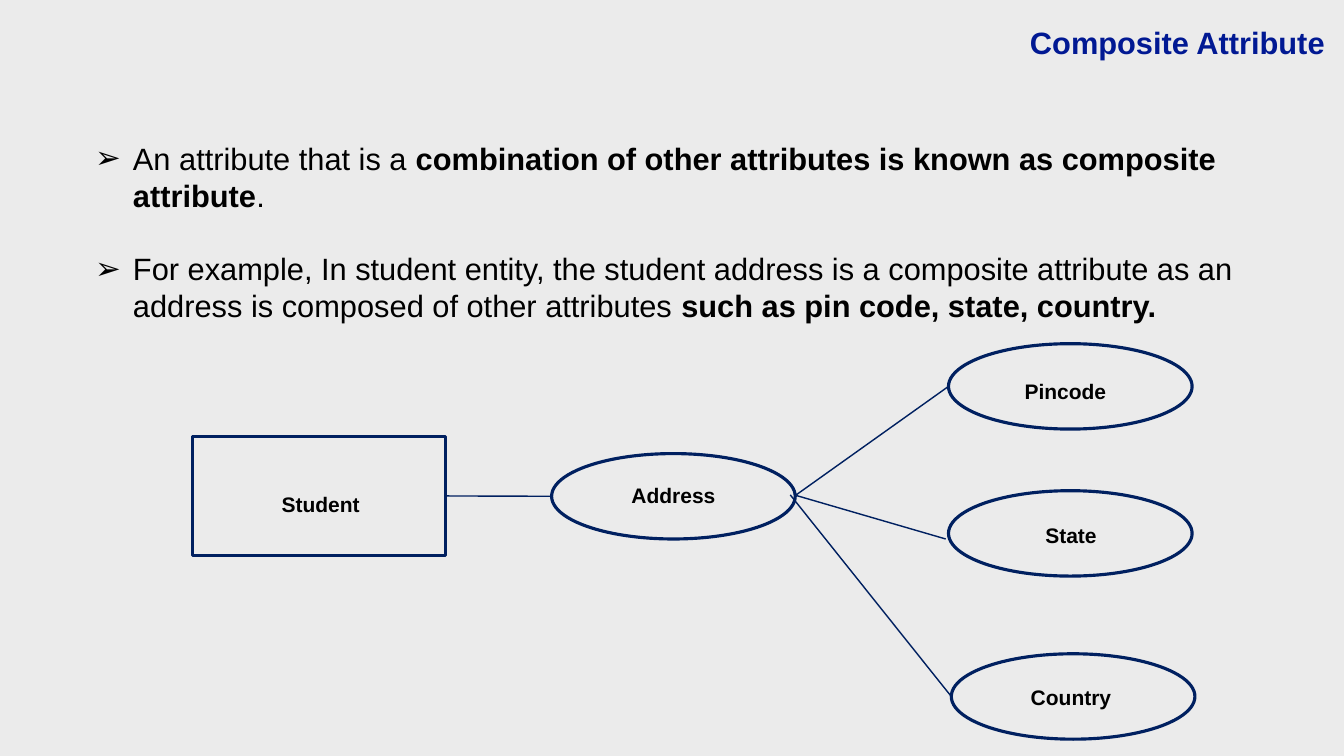
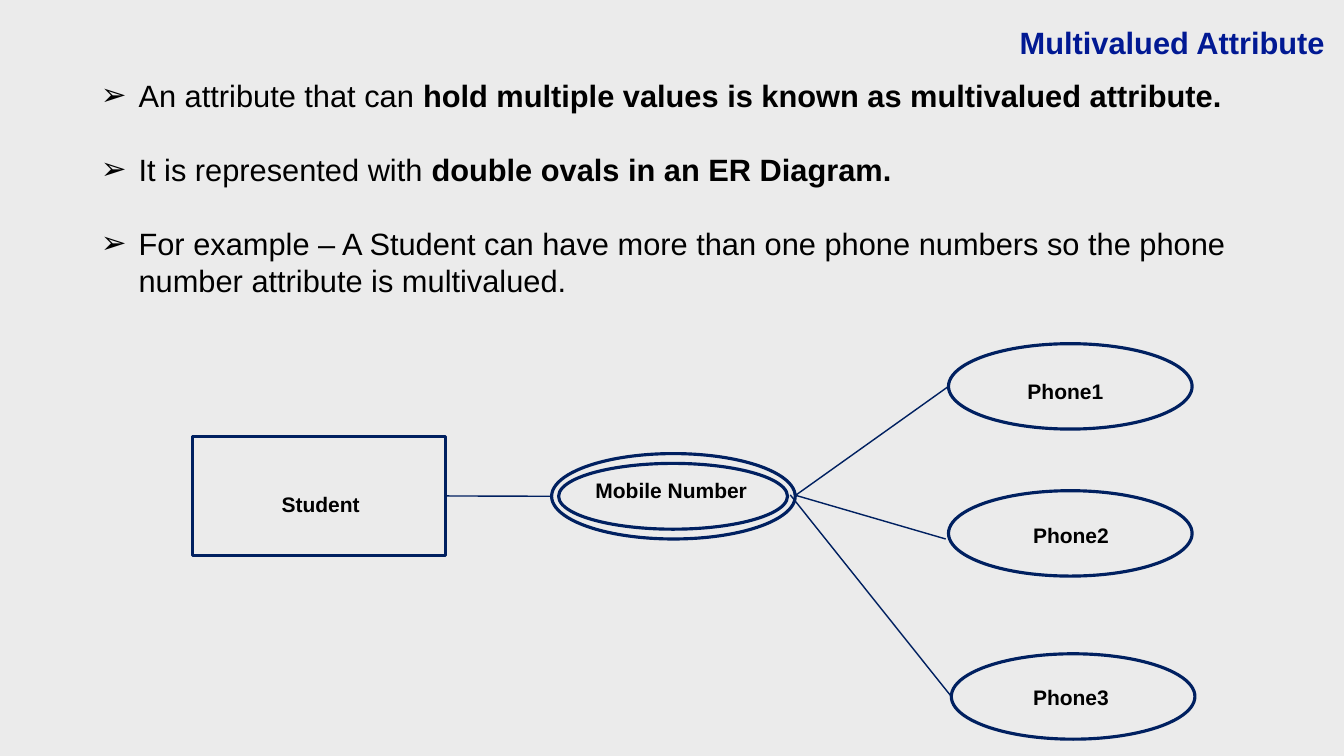
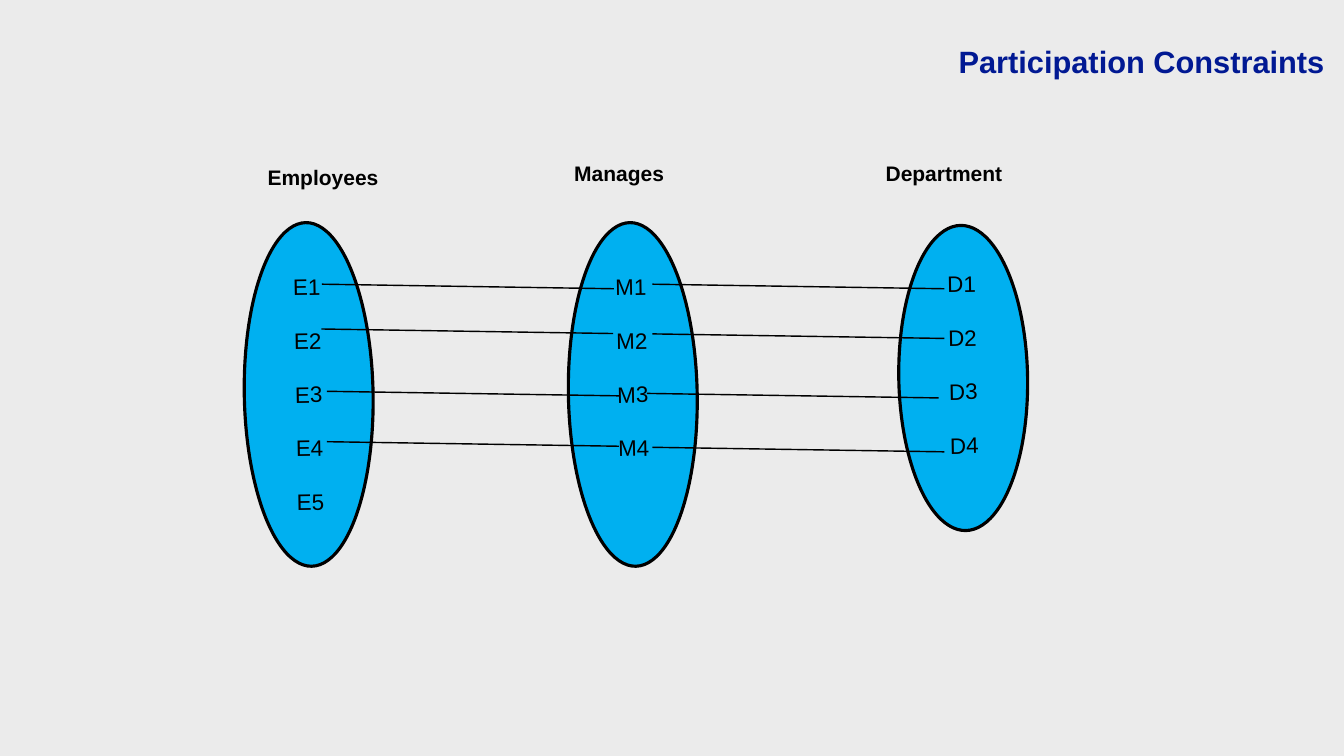
"""Build three slides on entity-relationship attributes and participation constraints."""
import dataclasses

import pptx
import pptx.dml.color
import pptx.enum.shapes
import pptx.enum.text
import pptx.oxml
import pptx.oxml.ns
import pptx.util

Pt = pptx.util.Pt
SHAPES = pptx.enum.shapes.MSO_SHAPE
ALIGN = pptx.enum.text.PP_ALIGN
ANCHOR = pptx.enum.text.MSO_ANCHOR


@dataclasses.dataclass(frozen=True)
class Theme:
    font: str = "Arial"
    background: str = "EBEBEB"
    ink: str = "000000"
    title: str = "011993"
    outline: str = "002060"
    oval: str = "00B0F0"
    heading_size: int = 44
    member_size: int = 32
    label_size: int = 30
    line_factor: float = 1.2
    inset: int = 4
    bullet_indent: int = 54
    shape_line: float = 4.5
    connector_line: int = 2


def color(value):
    return pptx.dml.color.RGBColor.from_string(value)


class Deck:
    def __init__(self, theme):
        self.theme = theme
        self.presentation = pptx.Presentation()
        self.presentation.slide_width = Pt(1920)
        self.presentation.slide_height = Pt(1080)
        fill = self.presentation.slide_master.background.fill
        fill.solid()
        fill.fore_color.rgb = color(theme.background)
        self.slide = None

    def add_slide(self):
        self.slide = self.presentation.slides.add_slide(self.presentation.slide_layouts[6])

    def frame(self, shape, anchor, inset):
        text_frame = shape.text_frame
        text_frame.word_wrap = True
        text_frame.vertical_anchor = anchor
        text_frame.margin_left = text_frame.margin_right = Pt(inset)
        text_frame.margin_top = text_frame.margin_bottom = Pt(inset)
        return text_frame

    def text_box(self, left, top, width, height, anchor=ANCHOR.MIDDLE):
        shape = self.slide.shapes.add_textbox(Pt(left), Pt(top), Pt(width), Pt(height))
        return self.frame(shape, anchor, self.theme.inset)

    def style(self, text_frame, size, align, ink=None, bold=None):
        pitch = Pt(round(size * self.theme.line_factor, 1))
        for index, paragraph in enumerate(text_frame.paragraphs):
            paragraph.alignment = align
            paragraph.line_spacing = pitch
            if index:
                paragraph.space_before = pitch
            for run in paragraph.runs:
                run.font.name = self.theme.font
                run.font.size = Pt(size)
                run.font.color.rgb = color(ink or self.theme.ink)
                if bold is not None:
                    run.font.bold = bold

    def title(self, text, top=30, height=114):
        text_frame = self.text_box(700, top, 1197, height, ANCHOR.TOP)
        text_frame.text = text
        self.style(text_frame, self.theme.heading_size, ALIGN.RIGHT, self.theme.title, True)

    def label(self, text, left, top, width=264):
        text_frame = self.text_box(left, top, width, 45)
        text_frame.text = text
        self.style(text_frame, self.theme.label_size, ALIGN.CENTER, bold=True)

    def bullets(self, items, left, top, height):
        text_frame = self.text_box(left, top, 1709, height)
        for index, item in enumerate(items):
            paragraph = text_frame.add_paragraph() if index else text_frame.paragraphs[0]
            for position, part in enumerate(item.split("*")):
                if part:
                    run = paragraph.add_run()
                    run.text = part
                    run.font.bold = position % 2 == 1
        self.style(text_frame, self.theme.heading_size, ALIGN.LEFT)
        for paragraph in text_frame.paragraphs:
            properties = paragraph._p.get_or_add_pPr()
            properties.set("marL", str(Pt(self.theme.bullet_indent)))
            properties.set("indent", str(-Pt(self.theme.bullet_indent)))
            namespace = pptx.oxml.ns.nsdecls("a")
            properties.append(pptx.oxml.parse_xml(f'<a:buFont {namespace} typeface="{self.theme.font}"/>'))
            properties.append(pptx.oxml.parse_xml(f'<a:buChar {namespace} char="➢"/>'))

    def outline(self, kind, left, top, width, height, line=None):
        shape = self.slide.shapes.add_shape(kind, Pt(left), Pt(top), Pt(width), Pt(height))
        shape.shadow.inherit = False
        shape.fill.background()
        shape.line.color.rgb = color(line or self.theme.outline)
        shape.line.width = Pt(self.theme.shape_line)
        return shape

    def attribute(self, left, top):
        return self.outline(SHAPES.OVAL, left, top, 348, 122)

    def member_set(self, members, left, top, height):
        shape = self.outline(SHAPES.OVAL, left, top, 184, height, self.theme.ink)
        shape.rotation = 359
        shape.fill.solid()
        shape.fill.fore_color.rgb = color(self.theme.oval)
        text_frame = self.frame(shape, ANCHOR.TOP, 0)
        text_frame.text = "\n".join(members)
        self.style(text_frame, self.theme.member_size, ALIGN.CENTER)

    def connector(self, start, end, line=None):
        shape = self.slide.shapes.add_connector(
            pptx.enum.shapes.MSO_CONNECTOR.STRAIGHT, *(Pt(value) for value in start + end))
        shape.line.color.rgb = color(line or self.theme.outline)
        shape.line.width = Pt(self.theme.connector_line)
        namespace = pptx.oxml.ns.nsdecls("a")
        shape._element.spPr.append(pptx.oxml.parse_xml(f"<a:effectLst {namespace}/>"))
        return shape

    def student_diagram(self, parts):
        student = self.outline(SHAPES.FLOWCHART_PROCESS, 275, 623, 362, 171)
        self.label("Student", 326, 698)
        self.attribute(788, 648)
        places = (((1355, 491), (1390, 536)), ((1355, 701), (1398, 742)), ((1359, 934), (1398, 973)))
        for part, (oval, label) in zip(parts, places):
            self.attribute(*oval)
            self.label(part, *label)
        self.connector((637, 708), (788, 709)).begin_connect(student, 3)
        for start, end in (((1136, 708), (1355, 552)), ((1129, 707), (1359, 995)),
                           ((1138, 708), (1351, 770))):
            self.connector(start, end)


def composite_slide(deck):
    deck.add_slide()
    deck.bullets([
        "An attribute that is a *combination of other attributes is known as composite attribute*.",
        "For example, In student entity, the student address is a composite attribute as an address "
        "is composed of other attributes *such as pin code, state, country.*",
    ], 132, 194, 274)
    deck.title("Composite Attribute")
    deck.student_diagram(["Pincode", "State", "Country"])
    deck.label("Address", 830, 685)


def multivalued_slide(deck):
    deck.add_slide()
    deck.bullets([
        "An attribute that can *hold multiple values is known as multivalued attribute.*",
        "It is represented with *double ovals in an ER Diagram.*",
        "For example – A Student can have more than one phone numbers so the phone number "
        "attribute is multivalued.",
    ], 140, 104, 328)
    deck.title("Multivalued Attribute")
    deck.student_diagram([f"Phone{number}" for number in range(1, 4)])
    deck.outline(SHAPES.OVAL, 798, 662, 327, 94)
    deck.label("Mobile Number", 840, 678, 238)


def participation_slide(deck):
    deck.add_slide()
    deck.title("Participation Constraints", 57, 61)
    for letter, count, left, top, height in (
            ("E", 5, 349, 318, 491), ("M", 4, 812, 318, 491), ("D", 4, 1284, 322, 436)):
        deck.member_set([f"{letter}{number}" for number in range(1, count + 1)], left, top, height)
    for left, top in ((460, 406), (459, 470), (467, 559), (467, 631),
                      (932, 406), (932, 477), (924, 562), (932, 639)):
        deck.connector((left, top), (left + 417, top + 6.5), deck.theme.ink)
    for text, left, top in (("Employees", 277, 230), ("Manages", 700, 225), ("Department", 1164, 225)):
        deck.label(text, left, top, 369)


def main():
    deck = Deck(Theme())
    composite_slide(deck)
    multivalued_slide(deck)
    participation_slide(deck)
    deck.presentation.save("out.pptx")


if __name__ == "__main__":
    main()
